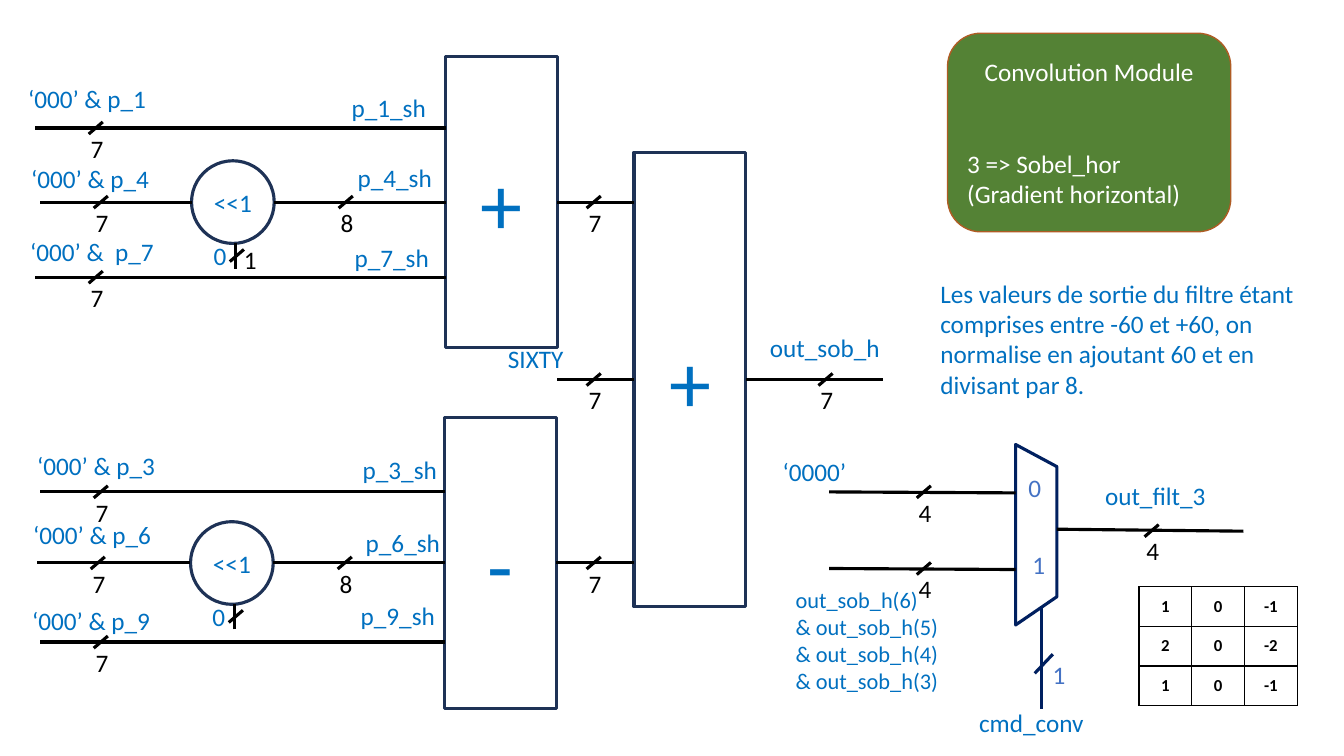
import pptx
import pptx.util
import pptx.dml.color
import pptx.enum.shapes
import pptx.enum.text
import pptx.oxml
import pptx.oxml.ns

COLS, ROWS = 133.33, 75
CELL = pptx.util.Inches(0.1)
BLUE, BLACK, NAVY, EDGE, INDIGO = "0070C0", "000000", "002060", "1E3256", "4472C4"
SHAPE = pptx.enum.shapes.MSO_SHAPE
ALIGN = pptx.enum.text.PP_ALIGN
FIT = pptx.enum.text.MSO_AUTO_SIZE
MIDDLE = pptx.enum.text.MSO_ANCHOR.MIDDLE
LEFT, RIGHT = 1, 3


def grid(*cells):
    """Turn columns or rows into slide lengths."""
    return [round(c * CELL) for c in cells]


def rgb(value):
    """Return the colour of a hex string."""
    return pptx.dml.color.RGBColor.from_string(value)


def apply(obj, **values):
    """Set every named attribute on an object."""
    for name, value in values.items():
        setattr(obj, name, value)


def write(tf, lines, size=18, color=BLUE, align=ALIGN.LEFT, bold=False):
    """Fill a text frame with one paragraph per line."""
    for i, line in enumerate(lines):
        p = tf.paragraphs[0] if i == 0 else tf.add_paragraph()
        p.alignment = align
        r = p.add_run()
        r.text = line
        apply(r.font, name="Calibri", size=pptx.util.Pt(size), bold=bold)
        r.font.color.rgb = rgb(color)


def label(s, x, y, w, h, *lines, wrap=True, **style):
    """Place a text box on the grid."""
    tf = s.shapes.add_textbox(*grid(x, y, w, h)).text_frame
    apply(tf, word_wrap=wrap, auto_size=FIT.SHAPE_TO_FIT_TEXT)
    write(tf, lines, **style)


def outline(sp, color=EDGE, width=2.25, fill=None):
    """Give a shape its line and fill, without a shadow."""
    sp.shadow.inherit = False
    if fill:
        sp.fill.solid()
        sp.fill.fore_color.rgb = rgb(fill)
    else:
        sp.fill.background()
    sp.line.color.rgb = rgb(color)
    sp.line.width = pptx.util.Pt(width)


def block(s, kind, box, text, size):
    """Draw an operator with its sign in the centre."""
    sp = s.shapes.add_shape(kind, *grid(*box))
    outline(sp)
    sp.text_frame.vertical_anchor = MIDDLE
    write(sp.text_frame, [text], size=size, align=ALIGN.CENTER)
    return sp


def wire(s, x1, y1, x2, y2, color=BLACK, begin=None, end=None):
    """Draw a straight wire, joined to the given shape sites."""
    c = s.shapes.add_connector(pptx.enum.shapes.MSO_CONNECTOR.STRAIGHT, *grid(x1, y1, x2, y2))
    c.line.color.rgb = rgb(color)
    c.line.width = pptx.util.Pt(2.25)
    if begin:
        c.begin_connect(*begin)
    if end:
        c.end_connect(*end)
    effects = pptx.oxml.parse_xml("<a:effectLst %s/>" % pptx.oxml.ns.nsdecls("a"))
    c._element.spPr.append(effects)


def tap(s, x, y, bits=None):
    """Cross a wire with a slash and write its bit width below."""
    wire(s, x - 0.7, y + 0.6, x + 0.7, y - 0.6)
    if bits:
        label(s, x - 1.5, y, 3.3, 4, bits, wrap=False, color=BLACK)


def input_bank(s, box, sign, inputs, carry=None):
    """Draw three inputs, the middle one shifted, that feed one operator."""
    left, top, w, h = box
    op_x = left + w - 11.1
    op = block(s, SHAPE.RECTANGLE, (op_x, top, 11.1, h), sign, 60)
    cx, cy, d = left + 17.2, top + h / 2 - 4.1, 8.2
    block(s, SHAPE.OVAL, (cx, cy, d, d), "<<1", 18)
    for i, (name, start, row, lx, ly, out, ox, oy) in enumerate(inputs):
        x, y = left + start, top + row
        label(s, left + lx, top + ly, 16, 4, name)
        label(s, left + ox, top + oy, 11.2, 4, out)
        if i == 1:
            wire(s, x, y, cx, y)
            wire(s, cx + d, y, op_x, y, end=(op, LEFT))
            tap(s, cx + 15.3, y, "8")
        else:
            wire(s, x, y, op_x, y)
        tap(s, x + 6, y, "7")
    wire(s, cx + 4.4, cy + 10.7, cx + 4.4, cy + d)
    tap(s, cx + 4.5, cy + 9.4)
    label(s, cx + 1.2, cy + 7.4, 3.6, 4, "0")
    if carry:
        label(s, cx + 4.2, cy + 7.8, 3.3, 4, carry, wrap=False, color=BLACK)
    return op


def final_adder(s, box, upper, lower):
    """Draw the adder that merges both banks with the constant."""
    x, y, w, h = box
    mid = y + h / 2
    adder = block(s, SHAPE.RECTANGLE, box, "+", 60)
    feeds = ((y + 4.95, (upper, RIGHT), None),
             (mid, None, (adder, LEFT)),
             (y + 40.75, (lower, RIGHT), None))
    for row, begin, end in feeds:
        wire(s, x - 7.6, row, x, row, begin=begin, end=end)
        tap(s, x - 4, row, "7")
    label(s, x - 13.5, y + 18.5, 9.5, 4, "SIXTY")
    wire(s, x + w, mid, x + 24.7, mid, begin=(adder, RIGHT))
    tap(s, x + 19, mid, "7")
    label(s, x + 12.5, y + 17.4, 14.7, 4, "out_sob_h")


def multiplexer(s, box):
    """Draw the output selector with its inputs, output and command."""
    x, y, w, h = box
    fb = s.shapes.build_freeform(*grid(x, y))
    fb.add_line_segments([grid(*pt) for pt in (
        (x + w, y + 2.2), (x + w, y + 15.1), (x, y + h))], close=True)
    outline(fb.convert_to_shape(), NAVY)
    for row, digit, dx in ((4.7, "0", 0), (12.3, "1", 0.4)):
        wire(s, x - 18.5, y + row, x, y + row + 0.1)
        tap(s, x - 9.1, y + row, "4")
        label(s, x + dx, y + row - 2.4, 3.8, 4, digit, color=INDIGO, align=ALIGN.CENTER)
    label(s, x - 24.1, y + 0.7, 9.2, 4, "‘0000’")
    label(s, x - 22.8, y + 13.6, 19.3, 11.8, "out_sob_h(6)", "& out_sob_h(5)",
          "& out_sob_h(4)", "& out_sob_h(3)", size=16)
    wire(s, x + w, y + 8.4, x + 22.6, y + 8.6)
    tap(s, x + 13.5, y + 8.55, "4")
    label(s, x + 7.9, y + 3.1, 14.7, 4, "out_filt_3")
    wire(s, x + 2.6, y + 26.2, x + 2.6, y + 16.1, NAVY)
    wire(s, x + 1.9, y + 22.7, x + 3.7, y + 20.8, NAVY)
    label(s, x + 1.9, y + 20.8, 4.8, 4, "1", color=INDIGO, align=ALIGN.CENTER)
    label(s, x - 4.6, y + 25.6, 14.7, 4, "cmd_conv")


def module_card(s, box):
    """Draw the card that names the module and its mode."""
    sp = s.shapes.add_shape(SHAPE.ROUNDED_RECTANGLE, *grid(*box))
    outline(sp, "AF5C24", 1, "548235")
    tf = sp.text_frame
    tf.vertical_anchor = MIDDLE
    write(tf, ["Convolution Module", "3 => Sobel_hor", "(Gradient horizontal)"], color="FFFFFF")
    tf.paragraphs[0].alignment = ALIGN.CENTER
    tf.paragraphs[1].space_before = pptx.util.Pt(44)


def kernel_table(s, box, rows):
    """Draw the kernel coefficients as a bordered table."""
    table = s.shapes.add_table(len(rows), len(rows[0]), *grid(*box)).table
    apply(table, first_row=False, horz_banding=False)
    for i, row in enumerate(rows):
        table.rows[i].height = grid(box[3] / len(rows))[0]
        for j, value in enumerate(row):
            cell = table.cell(i, j)
            margin_x, margin_y = grid(0.7, 0.3)
            apply(cell, vertical_anchor=MIDDLE, margin_left=margin_x, margin_right=margin_x,
                  margin_top=margin_y, margin_bottom=margin_y)
            write(cell.text_frame, [str(value)], 12, BLACK, ALIGN.CENTER, True)
            tc_pr = cell._tc.get_or_add_tcPr()
            for side in ("lnL", "lnR", "lnT", "lnB"):
                tc_pr.append(pptx.oxml.parse_xml(
                    '<a:%s %s w="12700"><a:solidFill><a:srgbClr val="%s"/></a:solidFill></a:%s>'
                    % (side, pptx.oxml.ns.nsdecls("a"), BLACK, side)))
            cell.fill.background()


def main():
    """Build the slide and save it."""
    prs = pptx.Presentation()
    prs.slide_width, prs.slide_height = grid(COLS, ROWS)
    s = prs.slides.add_slide(prs.slide_layouts[6])
    upper = input_bank(s, (1.8, 5.6, 53.5, 28.9), "+", (
        ("‘000’ & p_1", 1.7, 7.1, 0, 2.2, "p_1_sh", 32.1, 3.1),
        ("‘000’ & p_4", 2.2, 14.45, 0.3, 10.1, "p_4_sh", 32.7, 10),
        ("‘000’ &  p_7", 1.7, 21.9, 0.2, 17.4, "p_7_sh", 32.4, 17.9)), carry="1")
    lower = input_bank(s, (1.7, 41.4, 53.5, 28.9), "-", (
        ("‘000’ & p_3", 2.3, 7.4, 1, 2.8, "p_3_sh", 33.3, 3.2),
        ("‘000’ & p_6", 2, 14.45, 0.6, 9.6, "p_6_sh", 33.6, 10.4),
        ("‘000’ & p_9", 2.3, 22.3, 0.5, 18.2, "p_9_sh", 33.1, 17.7)))
    final_adder(s, (62.9, 15.1, 11.1, 45.1), upper, lower)
    multiplexer(s, (100.75, 44.1, 4.1, 17.9))
    module_card(s, (94, 3.3, 28.1, 19.7))
    label(s, 92.3, 27.1, 40.2, 13.1,
          "Les valeurs de sortie du filtre étant comprises entre -60 et +60, "
          "on normalise en ajoutant 60 et en divisant par 8.")
    kernel_table(s, (113, 58.2, 15.7, 11.8), ((1, 0, -1), (2, 0, -2), (1, 0, -1)))
    prs.save("out.pptx")


if __name__ == "__main__":
    main()
